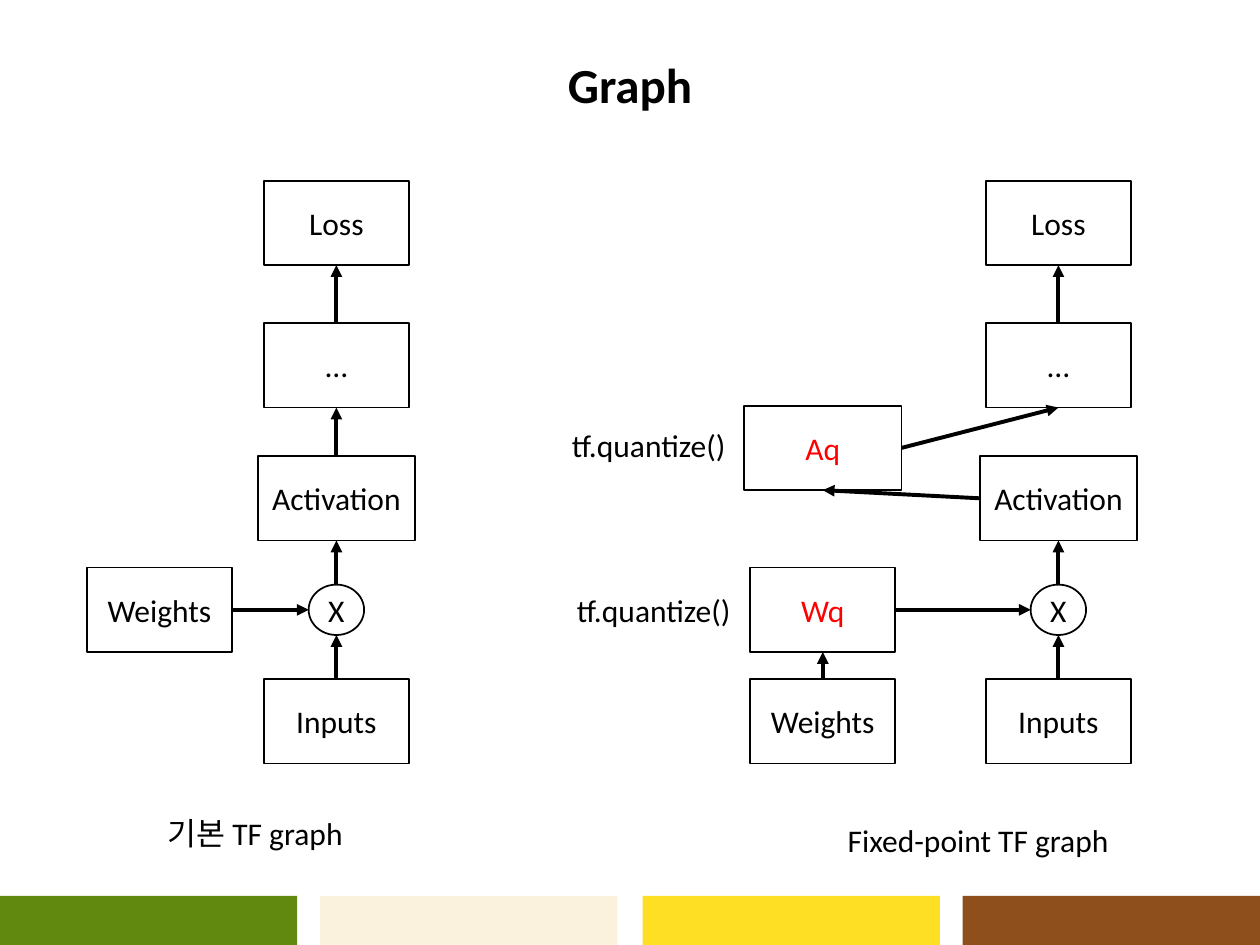
"""Build a slide comparing a basic TF graph with a fixed-point TF graph."""
from lxml.etree import SubElement
from pptx import Presentation
from pptx.dml.color import RGBColor
from pptx.enum.shapes import MSO_CONNECTOR, MSO_SHAPE
from pptx.enum.text import MSO_ANCHOR, PP_ALIGN
from pptx.oxml.ns import qn
from pptx.util import Inches, Pt

TOP, LEFT, BOTTOM, RIGHT = range(4)


def paint(fmt, color):
    fmt.solid()
    fmt.fore_color.rgb = RGBColor.from_string(color)


def write(sp, text, size=18, color="000000", bold=False, align=PP_ALIGN.CENTER,
          anchor=MSO_ANCHOR.MIDDLE, wrap=True):
    tf = sp.text_frame
    tf.word_wrap = wrap
    tf.vertical_anchor = anchor
    p = tf.paragraphs[0]
    p.alignment = align
    r = p.add_run()
    r.text = text
    r.font.name = "Calibri"
    r.font.size = Pt(size)
    r.font.bold = bold
    paint(r.font.fill, color)


prs = Presentation()
prs.slide_width, prs.slide_height = Inches(10), Inches(7.5)
s = prs.slides.add_slide(prs.slide_layouts[5])

for x, color in [(0, "61890F"), (2.54, "FAF2DD"), (5.1, "FFDF24"), (7.64, "8E4F1C")]:
    sp = s.shapes.add_shape(MSO_SHAPE.RECTANGLE, Inches(x), Inches(7.11),
                            Inches(2.36), Inches(0.39))
    sp.shadow.inherit = False
    paint(sp.fill, color)
    sp.line.fill.background()

title = s.shapes.title
title.left, title.top = Inches(0.69), Inches(0.4)
title.width, title.height = Inches(8.62), Inches(0.59)
write(title, "Graph", size=28, bold=True)
title.text_frame.paragraphs[0].line_spacing = 0.9

BOX, WIDE, DOT = (1.15, 0.67), (1.25, 0.67), (0.44, 0.4)
BASIC, FIXED, QUANT = 2.67, 8.4, 6.53
trunk = [("Loss", 1.77, BOX), ("…", 2.9, BOX), ("Activation", 3.955, WIDE),
         ("X", 4.84, DOT), ("Inputs", 5.725, BOX)]
nodes = [(text, x, y, size) for x in (BASIC, FIXED) for text, y, size in trunk]
nodes += [("Weights", 1.265, 4.84, BOX), ("Weights", QUANT, 5.725, BOX),
          ("Wq", QUANT, 4.84, BOX), ("Aq", QUANT, 3.555, WIDE)]

graph = {}
for text, x, y, (w, h) in nodes:
    kind = MSO_SHAPE.OVAL if text == "X" else MSO_SHAPE.RECTANGLE
    sp = s.shapes.add_shape(kind, Inches(x - w / 2), Inches(y - h / 2), Inches(w), Inches(h))
    sp.shadow.inherit = False
    paint(sp.fill, "FFFFFF")
    paint(sp.line.fill, "000000")
    sp.line.width = Pt(1)
    tf = sp.text_frame
    tf.margin_left = tf.margin_right = 0
    write(sp, text, color="FF0000" if text in ("Wq", "Aq") else "000000")
    side = "basic" if x < 5 else "fixed"
    graph[side, text] = sp

edges = [(side, a, TOP, b, BOTTOM) for side in ("basic", "fixed")
         for a, b in [("Inputs", "X"), ("X", "Activation"), ("…", "Loss")]]
edges += [("basic", "Activation", TOP, "…", BOTTOM),
          ("basic", "Weights", RIGHT, "X", LEFT),
          ("fixed", "Weights", TOP, "Wq", BOTTOM),
          ("fixed", "Wq", RIGHT, "X", LEFT),
          ("fixed", "Activation", LEFT, "Aq", BOTTOM),
          ("fixed", "Aq", RIGHT, "…", BOTTOM)]

for side, a, start, b, end in edges:
    c = s.shapes.add_connector(MSO_CONNECTOR.STRAIGHT, 0, 0, 0, 0)
    c.begin_connect(graph[side, a], start)
    c.end_connect(graph[side, b], end)
    for tag, name, site in [("a:stCxn", a, start), ("a:endCxn", b, end)]:
        if name == "X":
            next(c.element.iter(qn(tag))).set("idx", str(site * 2))
    paint(c.line.fill, "000000")
    c.line.width = Pt(2.25)
    SubElement(c.line._get_or_add_ln(), qn("a:tailEnd"), type="triangle")
    SubElement(c.element.spPr, qn("a:effectLst"))

for text, x, y, w, wrap in [("기본 TF graph", 1.23, 6.41, 1.6, True),
                            ("Fixed-point TF graph", 6.63, 6.47, 2.3, False),
                            ("tf.quantize()", 4.48, 4.64, 1.44, False),
                            ("tf.quantize()", 4.44, 3.33, 1.44, False)]:
    sp = s.shapes.add_textbox(Inches(x), Inches(y), Inches(w), Inches(0.4))
    write(sp, text, align=PP_ALIGN.LEFT, anchor=MSO_ANCHOR.TOP, wrap=wrap)

prs.save("out.pptx")
